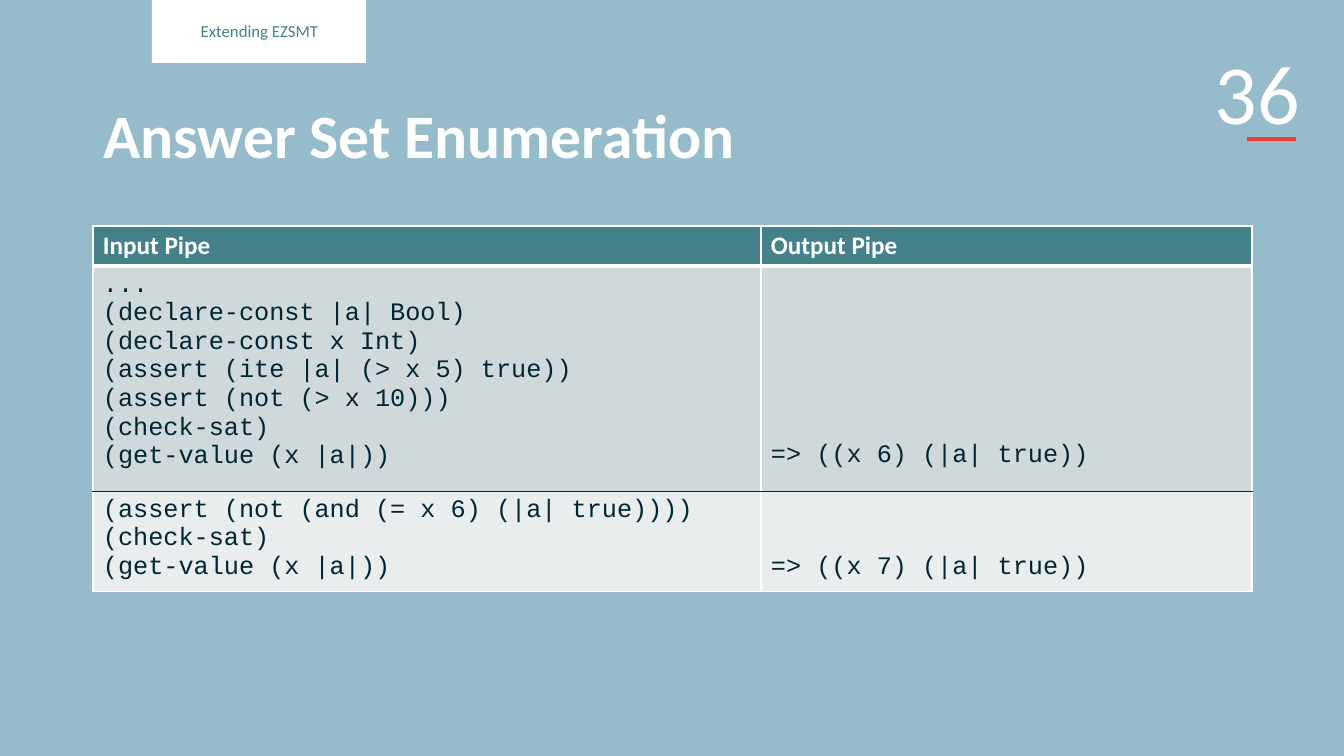
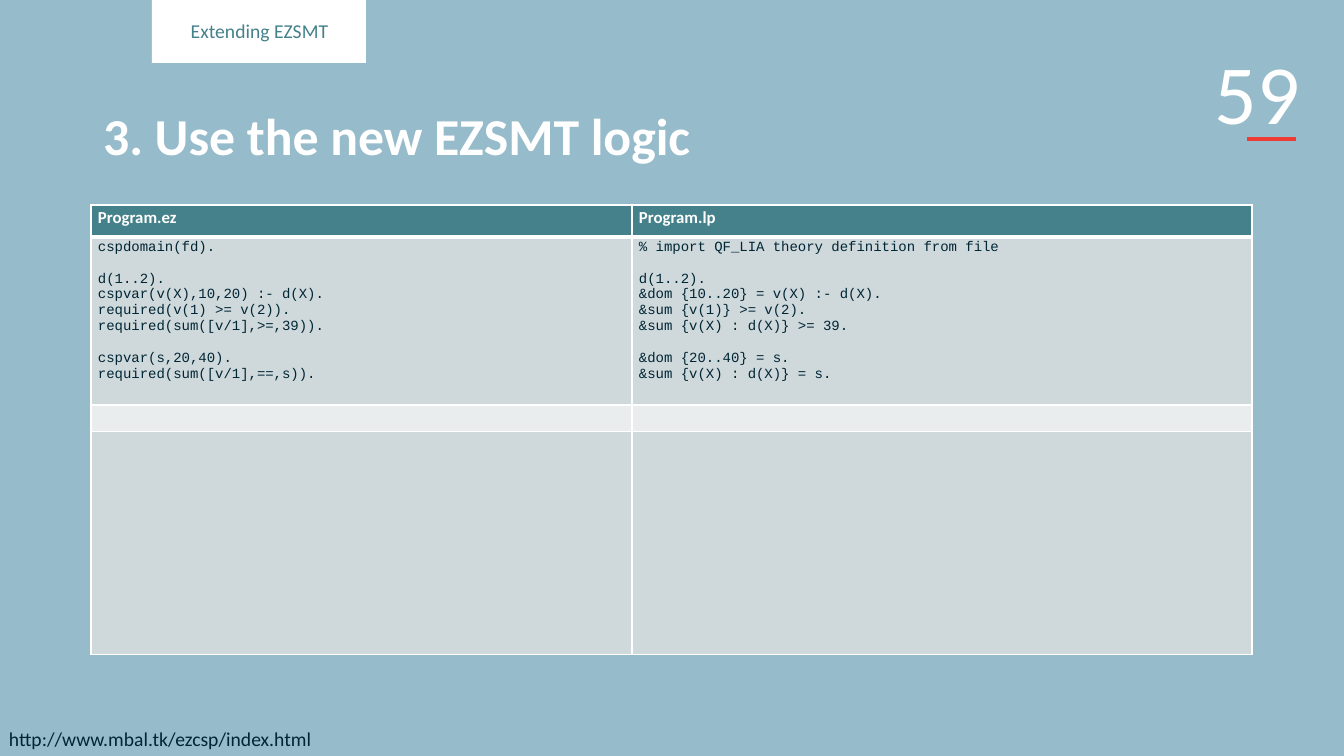
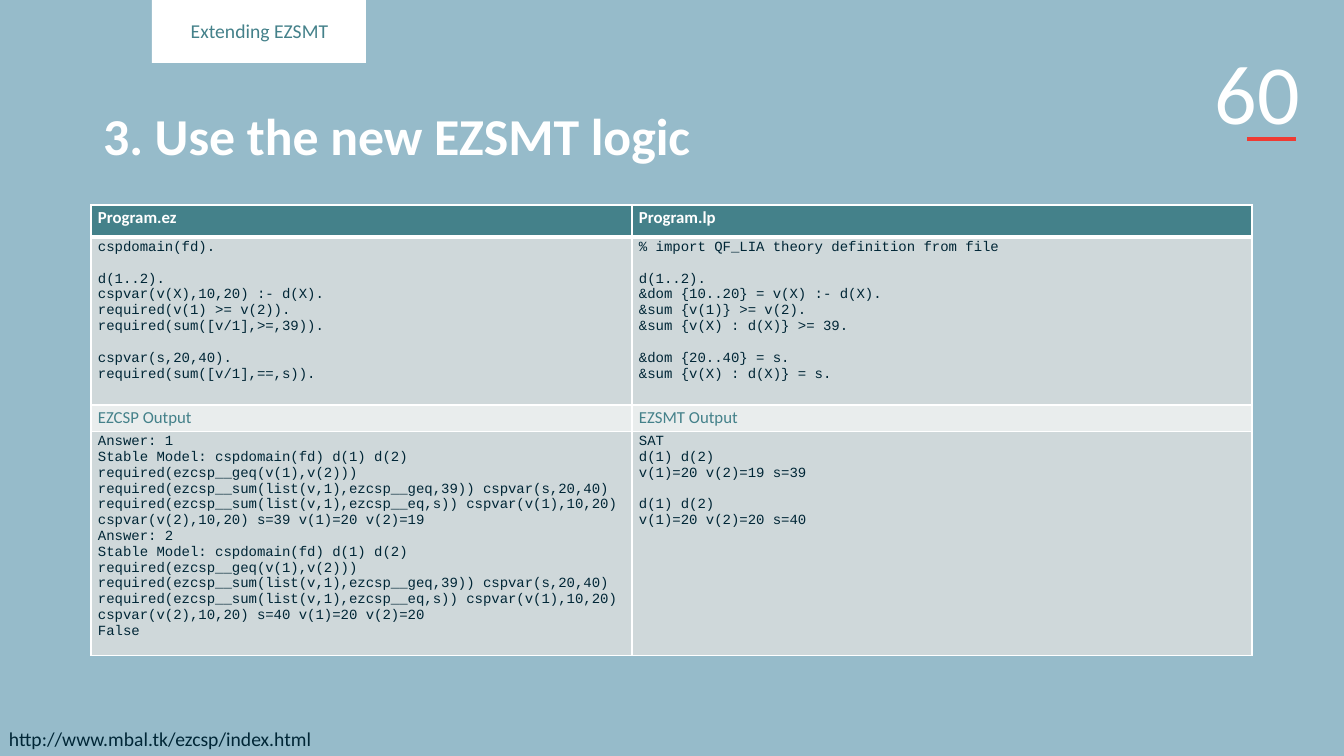
from lxml import etree
from pptx import Presentation
from pptx import util as u
from pptx.dml.color import RGBColor
from pptx.enum import shapes, text
from pptx.oxml.ns import qn

SCALE = 914400 / 100.8
COLOURS = {
    "sky": "96BBCA",
    "white": "FFFFFF",
    "red": "EF3B33",
    "teal": "44818A",
    "ink": "002636",
    "band": "CFD8DA",
    "pale": "E9EDED",
}
SANS, MONO = "Calibri", "Courier New"
MONO_LINE = 1.13

CSP_PROGRAM = """cspdomain(fd).

d(1..2).
cspvar(v(X),10,20) :- d(X).
required(v(1) >= v(2)).
required(sum([v/1],>=,39)).

cspvar(s,20,40).
required(sum([v/1],==,s))."""

SMT_PROGRAM = """% import QF_LIA theory definition from file

d(1..2).
&dom {10..20} = v(X) :- d(X).
&sum {v(1)} >= v(2).
&sum {v(X) : d(X)} >= 39.

&dom {20..40} = s.
&sum {v(X) : d(X)} = s."""

ANSWER = """Answer: {number}
Stable Model: cspdomain(fd) d(1) d(2) required(ezcsp__geq(v(1),v(2)))
required(ezcsp__sum(list(v,1),ezcsp__geq,39)) cspvar(s,20,40)
required(ezcsp__sum(list(v,1),ezcsp__eq,s)) cspvar(v(1),10,20)
cspvar(v(2),10,20) s={total} v(1)=20 v(2)={second}
"""

CSP_OUTPUT = (
    ANSWER.format(number=1, total=39, second=19)
    + ANSWER.format(number=2, total=40, second=20)
    + "False"
)

SMT_OUTPUT = """SAT
d(1) d(2)
v(1)=20 v(2)=19 s=39

d(1) d(2)
v(1)=20 v(2)=20 s=40"""

FIRST_QUERY = """...
(declare-const |a| Bool)
(declare-const x Int)
(assert (ite |a| (> x 5) true))
(assert (not (> x 10)))
(check-sat)
(get-value (x |a|))"""

SECOND_QUERY = """(assert (not (and (= x 6) (|a| true))))
(check-sat)
(get-value (x |a|))"""


def px(length):
    return u.Emu(round(length * SCALE))


def colour(name):
    return RGBColor.from_string(COLOURS[name])


class Deck:
    def __init__(self):
        self.deck = Presentation()
        self.deck.slide_width, self.deck.slide_height = px(1344), px(756)
        fill = self.deck.slide_master.background.fill
        fill.solid()
        fill.fore_color.rgb = colour("sky")
        self.page = None

    def start_page(self, number, title, title_width, title_size, section_size):
        self.page = self.deck.slides.add_slide(self.deck.slide_layouts[1])
        heading, section = self.page.placeholders
        self.placeholder(heading, (93, 72, title_width, 133), title, title_size, "white", bold=True)
        self.placeholder(section, (164, 11, 191, 42), "Extending EZSMT", section_size, "teal",
                         align=text.PP_ALIGN.CENTER, before=10)
        section.element.addprevious(self.tab(152, 0, 214, 63).element)
        self.label((1028, 42, 282, 98), number, 60, "white", align=text.PP_ALIGN.RIGHT,
                   anchor=text.MSO_ANCHOR.MIDDLE)
        self.rule(1296, 139, 1247, 139)

    def format(self, para, size, ink, font=SANS, bold=False, align=text.PP_ALIGN.LEFT):
        para.alignment = align
        for span in para.runs:
            span.font.name, span.font.size = font, u.Pt(size)
            span.font.bold = bold
            span.font.color.rgb = colour(ink)

    def placeholder(self, box, place, words, size, ink, bold=False,
                    align=text.PP_ALIGN.LEFT, before=0):
        box.left, box.top, box.width, box.height = map(px, place)
        frame = box.text_frame
        frame.text = words
        frame.auto_size = text.MSO_AUTO_SIZE.NONE
        frame.vertical_anchor = text.MSO_ANCHOR.MIDDLE
        para = frame.paragraphs[0]
        para.line_spacing = 0.9
        para.space_before = u.Pt(before)
        self.format(para, size, ink, bold=bold, align=align)
        properties = para._p.get_or_add_pPr()
        properties.set("marL", "0")
        properties.set("indent", "0")
        etree.SubElement(properties, qn("a:buNone"))

    def label(self, place, words, size, ink, align=text.PP_ALIGN.LEFT,
              anchor=text.MSO_ANCHOR.TOP, wrap=True):
        frame = self.page.shapes.add_textbox(*map(px, place)).text_frame
        frame.text = words
        frame.word_wrap = wrap
        frame.vertical_anchor = anchor
        self.format(frame.paragraphs[0], size, ink, align=align)

    def tab(self, *place):
        box = self.page.shapes.add_shape(shapes.MSO_SHAPE.RECTANGLE, *map(px, place))
        box.shadow.inherit = False
        box.fill.solid()
        box.fill.fore_color.rgb = colour("white")
        box.line.fill.background()
        return box

    def rule(self, *ends):
        line = self.page.shapes.add_connector(shapes.MSO_CONNECTOR.STRAIGHT, *map(px, ends))
        line.line.color.rgb = colour("red")
        line.line.width = u.Pt(3)
        etree.SubElement(line.element.spPr, qn("a:effectLst"))

    def border(self, cell, side, ink, width):
        line = etree.SubElement(cell._tc.get_or_add_tcPr(), qn(f"a:ln{side}"), w=str(u.Pt(width)))
        fill = etree.SubElement(line, qn("a:solidFill"))
        etree.SubElement(fill, qn("a:srgbClr"), val=COLOURS[ink])

    def fill_cell(self, cell, words, size, ink, font, bold):
        frame = cell.text_frame
        blocks = [block.split("\n") for block in words.split("\n\n")]
        frame.text = "\n".join(line for block in blocks for line in block)
        paras = iter(frame.paragraphs)
        for number, block in enumerate(blocks):
            for row, _ in enumerate(block):
                para = next(paras)
                if number and not row:
                    para.space_before = u.Pt(round(size * MONO_LINE, 1))
                self.format(para, size, ink, font, bold)
        if not words:
            etree.SubElement(frame.paragraphs[0]._p, qn("a:endParaRPr"), sz=str(size * 100))

    def table(self, left, top, widths, heights, rows, head_size, code_size, insets,
              divider="white", skipped=None):
        grid = self.page.shapes.add_table(len(rows), len(widths), px(left), px(top),
                                          px(sum(widths)), px(sum(heights))).table
        grid.horz_banding = False
        for column, width in zip(grid.columns, widths):
            column.width = px(width)
        edges = [("white", 1), ("white", 3), (divider, 1)] + [("white", 1)] * (len(rows) - 2)
        styles = {
            "head": (head_size, "white", SANS, True),
            "code": (code_size, "ink", MONO, False),
            "note": (head_size, "teal", SANS, False),
        }
        side, end = insets
        for row, (style, *entries) in enumerate(rows):
            grid.rows[row].height = px(heights[row])
            shade = "teal" if row == 0 else "band" if row % 2 else "pale"
            for column, words in enumerate(entries):
                cell = grid.cell(row, column)
                lines = (skipped or {}).get((row, column), 0)
                cell.margin_left = cell.margin_right = px(side)
                cell.margin_top = px(end) + u.Pt(round(lines * code_size * MONO_LINE, 1))
                cell.margin_bottom = px(end)
                self.border(cell, "L", "white", 1)
                self.border(cell, "R", "white", 1)
                self.border(cell, "T", *edges[row])
                self.border(cell, "B", *edges[row + 1])
                cell.fill.solid()
                cell.fill.fore_color.rgb = colour(shade)
                self.fill_cell(cell, words, *styles[style])

    def enumeration_page(self):
        self.start_page("36", "Answer Set Enumeration", 867, 44, 12)
        rows = [
            ("head", "Input Pipe", "Output Pipe"),
            ("code", FIRST_QUERY, "=> ((x 6) (|a| true))"),
            ("code", SECOND_QUERY, "=> ((x 7) (|a| true))"),
        ]
        self.table(93, 226, (668, 491), (40, 225, 96), rows, 18, 18, (10, 5),
                   divider="ink", skipped={(1, 1): 6, (2, 1): 2})

    def logic_page(self, number, results):
        self.start_page(number, "3. Use the new EZSMT logic", 1024, 37, 14)
        rows = [
            ("head", "Program.ez", "Program.lp"),
            ("code", CSP_PROGRAM, SMT_PROGRAM),
            *results,
        ]
        self.table(91, 205, (541, 620), (32, 168, 26, 223), rows, 12, 10, (7, 3))
        self.label((-1, 722, 326, 34), "http://www.mbal.tk/ezcsp/index.html", 14, "ink", wrap=False)


def main():
    talk = Deck()
    talk.enumeration_page()
    talk.logic_page("59", [("note", "", ""), ("code", "", "")])
    talk.logic_page("60", [
        ("note", "EZCSP Output", "EZSMT Output"),
        ("code", CSP_OUTPUT, SMT_OUTPUT),
    ])
    talk.deck.save("out.pptx")


if __name__ == "__main__":
    main()
